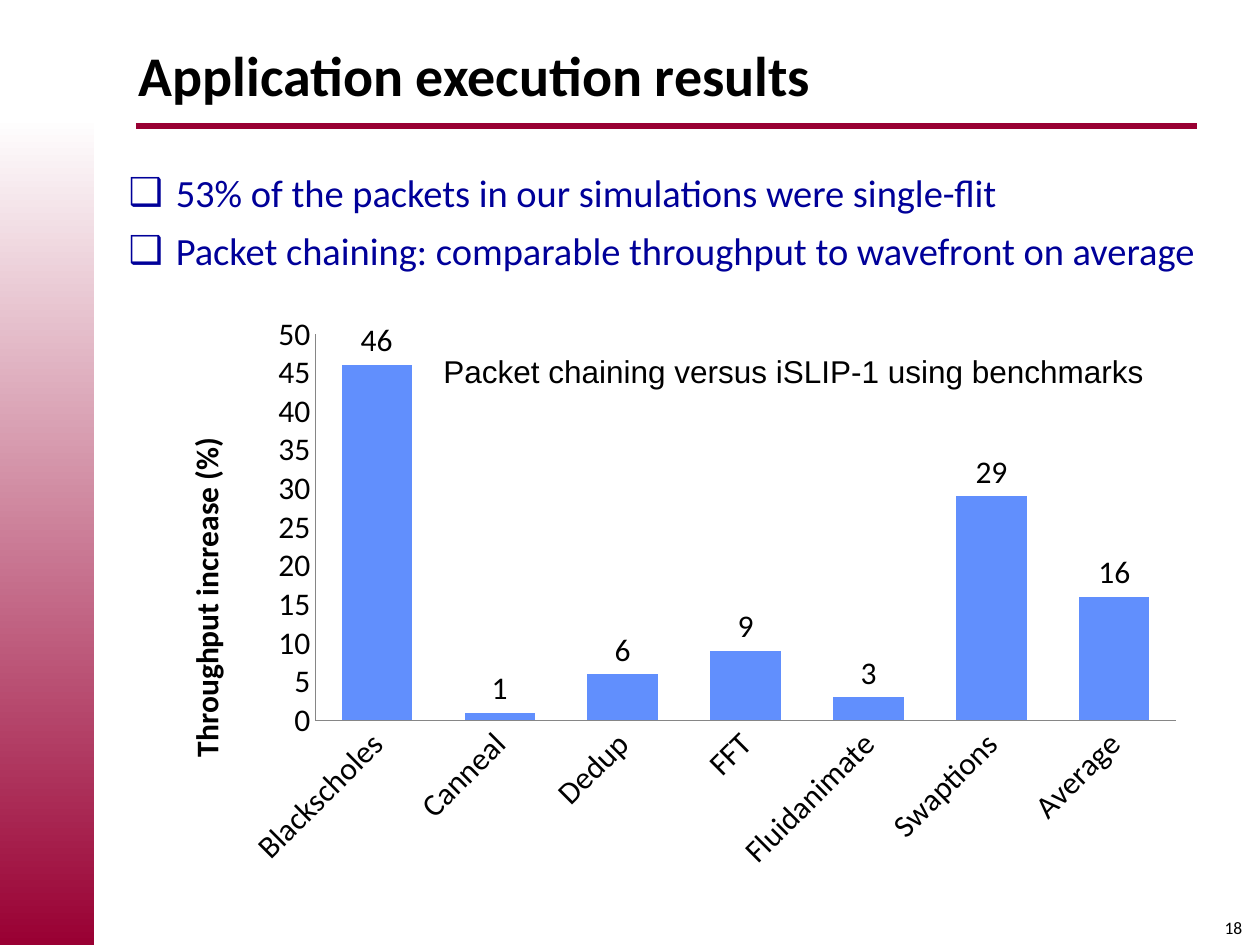
from lxml import etree
from pptx import Presentation
from pptx.chart.data import CategoryChartData
from pptx.dml.color import RGBColor
from pptx.enum.chart import XL_CHART_TYPE as ChartType
from pptx.enum.chart import XL_LABEL_POSITION as LabelPosition
from pptx.enum.chart import XL_TICK_MARK as TickMark
from pptx.enum.shapes import MSO_CONNECTOR as Connector
from pptx.enum.shapes import MSO_SHAPE as Shape
from pptx.enum.text import MSO_ANCHOR as Anchor
from pptx.enum.text import MSO_AUTO_SIZE as AutoSize
from pptx.enum.text import PP_ALIGN as Align
from pptx.oxml import parse_xml
from pptx.oxml.ns import nsdecls, qn
from pptx.util import Cm, Pt

BLACK = RGBColor(0x00, 0x00, 0x00)
WHITE = RGBColor(0xFF, 0xFF, 0xFF)
CRIMSON = RGBColor(0x99, 0x00, 0x33)
NAVY = RGBColor(0x00, 0x00, 0x99)
BAR_BLUE = RGBColor(0x61, 0x8F, 0xFD)
AXIS_GRAY = RGBColor(0x86, 0x86, 0x86)

POINTS = [
    "53% of the packets in our simulations were single-flit",
    "Packet chaining: comparable throughput to wavefront on average",
]
THROUGHPUT = {
    "Blackscholes": 46,
    "Canneal": 1,
    "Dedup": 6,
    "FFT": 9,
    "Fluidanimate": 3,
    "Swaptions": 29,
    "Average": 16,
}


def set_all(target, **values):
    for name, value in values.items():
        setattr(target, name, value)


def place(shape, left, top, width, height):
    set_all(shape, left=Cm(left), top=Cm(top), width=Cm(width), height=Cm(height))


def format_font(font, size, color=BLACK, name="Calibri", bold=False):
    set_all(font, size=Pt(size), name=name, bold=bold)
    font.color.rgb = color


def add_side_band(slide):
    band = slide.shapes.add_shape(Shape.RECTANGLE, Cm(0), Cm(2.34), Cm(1.9), Cm(16.71))
    band.shadow.inherit = False
    band.line.fill.background()
    band.fill.gradient()
    band.fill.gradient_angle = 270
    for stop, position, color in zip(band.fill.gradient_stops, (0, 1), (WHITE, CRIMSON)):
        stop.position = position
        stop.color.rgb = color


def add_title_rule(slide):
    rule = slide.shapes.add_connector(
        Connector.STRAIGHT, Cm(2.74), Cm(2.54), Cm(24.13), Cm(2.54))
    rule.line.color.rgb = CRIMSON
    rule.line.width = Pt(3)
    etree.SubElement(rule._element.spPr, qn("a:effectLst"))


def fill_title(title, text):
    place(title, 2.54, 0.43, 21.8, 2.11)
    title.text_frame.text = text
    title.text_frame.vertical_anchor = Anchor.MIDDLE
    paragraph = title.text_frame.paragraphs[0]
    paragraph.alignment = Align.LEFT
    format_font(paragraph.runs[0].font, 32, bold=True)


def fill_bullets(body, points):
    place(body, 2.34, 3.18, 22.1, 2.74)
    frame = body.text_frame
    frame.text = "\n".join(points)
    frame.auto_size = AutoSize.NONE
    for paragraph in frame.paragraphs:
        set_all(paragraph, line_spacing=1.1, space_before=Pt(4.4))
        format_font(paragraph.runs[0].font, 22, NAVY)
        properties = paragraph._p.get_or_add_pPr()
        properties.set("marL", str(Cm(0.95)))
        properties.set("indent", str(-Cm(0.95)))
        etree.SubElement(properties, qn("a:buChar"), char="❑")


def add_label(slide, text, box, size, font_name, alignment=Align.LEFT):
    label = slide.shapes.add_textbox(*map(Cm, box))
    label.text_frame.word_wrap = True
    paragraph = label.text_frame.paragraphs[0]
    paragraph.alignment = alignment
    run = paragraph.add_run()
    run.text = text
    format_font(run.font, size, name=font_name)


def chart_layout(target="", **fractions):
    """Return a manual c:layout, with lengths as fractions of the chart."""
    parts = f'<c:layoutTarget val="{target}"/>' if target else ""
    parts += '<c:xMode val="edge"/><c:yMode val="edge"/>'
    parts += "".join(f'<c:{key} val="{value}"/>' for key, value in fractions.items())
    return parse_xml(
        f'<c:layout {nsdecls("c")}><c:manualLayout>{parts}</c:manualLayout></c:layout>')


def format_axis(axis):
    set_all(axis, has_major_gridlines=False,
            major_tick_mark=TickMark.NONE, minor_tick_mark=TickMark.NONE)
    axis.format.line.color.rgb = AXIS_GRAY
    axis.format.line.width = Pt(0.75)
    format_font(axis.tick_labels.font, 18)


def add_value_title(axis, text):
    axis.axis_title.text_frame.text = text
    format_font(axis.axis_title.text_frame.paragraphs[0].runs[0].font, 18, bold=True)
    title = axis.axis_title._element
    title.find(".//" + qn("a:bodyPr")).set("rot", "-5400000")
    for automatic in title.findall(qn("c:layout")):
        title.remove(automatic)
    title.find(qn("c:tx")).addnext(chart_layout(x=0.03, y=0.22))


def add_throughput_chart(slide):
    data = CategoryChartData()
    data.categories = list(THROUGHPUT)
    data.add_series("Series 1", list(THROUGHPUT.values()))
    chart = slide.shapes.add_chart(
        ChartType.COLUMN_CLUSTERED, Cm(2.97), Cm(6.15), Cm(21.16), Cm(11.63), data).chart
    set_all(chart, has_legend=False, has_title=False)
    format_font(chart.font, 18)

    plot = chart.plots[0]
    set_all(plot, gap_width=75, vary_by_categories=False, has_data_labels=True)
    set_all(plot.data_labels, show_value=True, position=LabelPosition.OUTSIDE_END)
    format_font(plot.data_labels.font, 18)
    bars = plot.series[0].format.fill
    bars.solid()
    bars.fore_color.rgb = BAR_BLUE

    format_axis(chart.category_axis)
    format_axis(chart.value_axis)
    slanted = chart.category_axis._element.find(qn("c:txPr")).find(qn("a:bodyPr"))
    slanted.set("rot", "-2700000")
    set_all(chart.value_axis, minimum_scale=0, maximum_scale=50, major_unit=5)
    add_value_title(chart.value_axis, "Throughput increase (%)")

    plot_area = chart._chartSpace.chart.plotArea
    for automatic in plot_area.findall(qn("c:layout")):
        plot_area.remove(automatic)
    plot_area.insert(0, chart_layout("inner", x=0.16, y=0.05, w=0.82, h=0.67))


def main():
    deck = Presentation()
    set_all(deck, slide_width=Cm(25.4), slide_height=Cm(19.05))
    slide = deck.slides.add_slide(deck.slide_layouts[1])
    title, body = slide.placeholders
    add_side_band(slide)
    add_title_rule(slide)
    fill_title(title, "Application execution results")
    fill_bullets(body, POINTS)
    add_throughput_chart(slide)
    add_label(slide, "Packet chaining versus iSLIP-1 using benchmarks",
              (8.69, 6.98, 14.81, 1.02), 18, "Arial")
    add_label(slide, "18", (24.33, 18.36, 1.07, 0.69), 10, "Calibri", Align.CENTER)
    deck.save("out.pptx")


if __name__ == "__main__":
    main()
